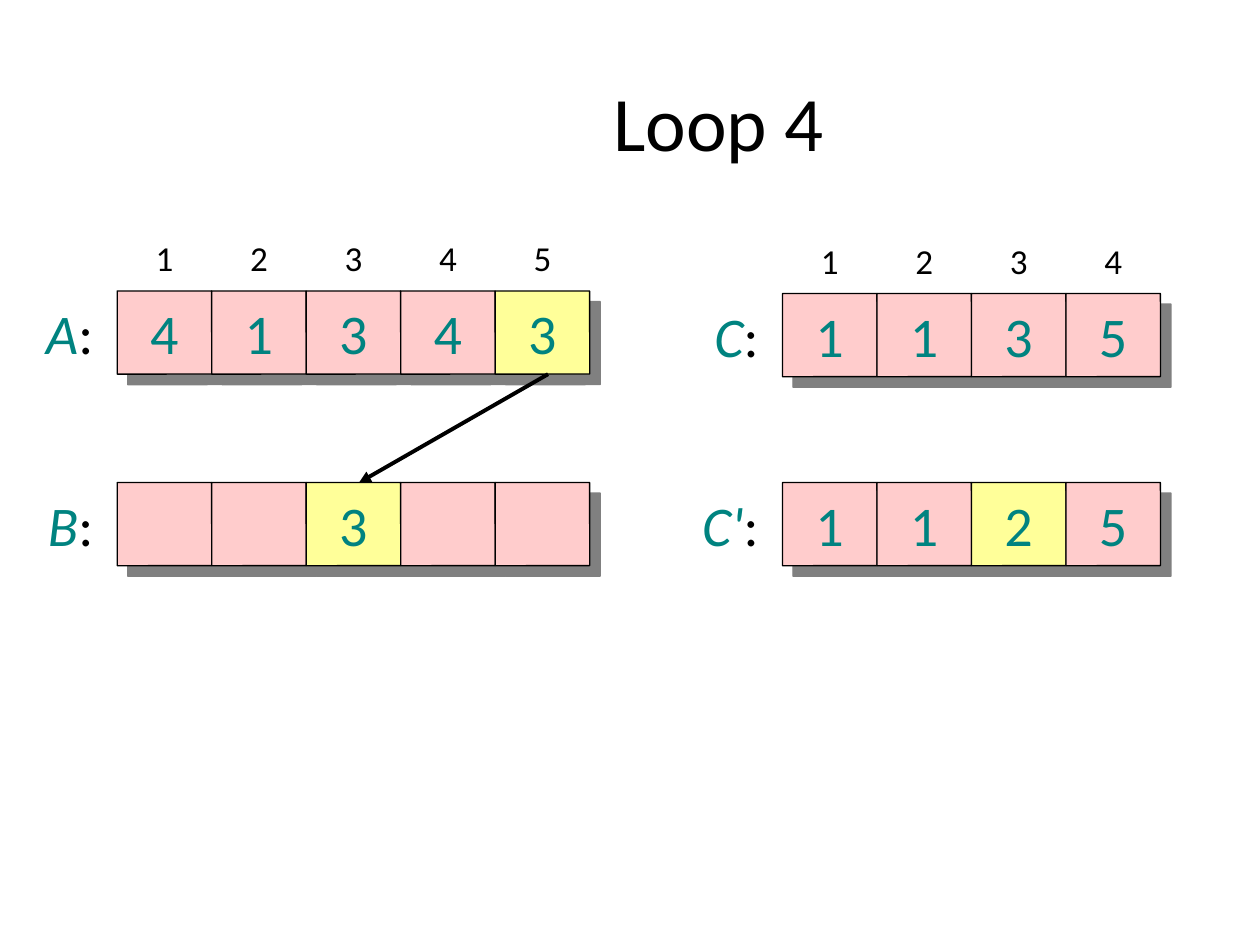
from lxml.etree import SubElement
from pptx import Presentation
from pptx.dml.color import RGBColor
from pptx.enum.shapes import MSO_CONNECTOR, MSO_SHAPE
from pptx.enum.text import MSO_ANCHOR, PP_ALIGN
from pptx.oxml import parse_xml
from pptx.oxml.ns import qn
from pptx.util import Inches, Pt

TEAL, BLACK, PINK, YELLOW, GRAY = "008380", "000000", "FFCCCC", "FFFF99", "808080"
WIDE, HIGH = 0.75, 0.66
NS = "http://schemas.openxmlformats.org/drawingml/2006/main"
SHADOW = (f'<a:effectLst xmlns:a="{NS}"><a:outerShdw dist="{Pt(8.5)}" dir="2700000" '
          f'algn="ctr" rotWithShape="0"><a:srgbClr val="{GRAY}"/></a:outerShdw></a:effectLst>')


def paint(item, color):
    """Give a font, fill or line a solid colour."""
    fill = item if hasattr(item, "solid") else item.fill
    fill.solid()
    fill.fore_color.rgb = RGBColor.from_string(color)


def write(words, box, size=32, color=TEAL, align=PP_ALIGN.CENTER,
          anchor=MSO_ANCHOR.MIDDLE, wrap=False, italic=False, tail=""):
    """Add a text box; tail is an upright black ending."""
    frame = slide.shapes.add_textbox(*map(Inches, box)).text_frame
    frame.word_wrap, frame.vertical_anchor = wrap, anchor
    para = frame.paragraphs[0]
    para.alignment = align
    for part, tint, slant in ((words, color, italic), (tail, BLACK, False)):
        if part:
            run = para.add_run()
            run.text = part
            run.font.name, run.font.size, run.font.italic = "Calibri", Pt(size), slant
            paint(run.font, tint)


deck = Presentation()
deck.slide_width, deck.slide_height = Inches(10), Inches(7.5)
slide = deck.slides.add_slide(deck.slide_layouts[6])

write("Loop 4", (1.58, 0.33, 8.25, 1.25), size=44, color=BLACK, wrap=True)

# name, left, top, values, marked cell, has index row, label width
rows = [
    ("A", 0.93, 2.31, ["4", "1", "3", "4", "3"], 4, True, 0.64),
    ("B", 0.93, 3.83, ["", "", "3", "", ""], 2, False, 0.61),
    ("C", 6.21, 2.33, ["1", "1", "3", "5"], None, True, 0.62),
    ("C'", 6.21, 3.83, ["1", "1", "2", "5"], 2, False, 0.72),
]
for name, left, top, values, mark, index, span in rows:
    write(name, (left - 0.09 - span, top + 0.01, span, 0.64), align=PP_ALIGN.RIGHT,
          anchor=MSO_ANCHOR.TOP, italic=True, tail=":")
    for col, value in enumerate(values):
        box = (left + col * WIDE, top, WIDE, HIGH)
        cell = slide.shapes.add_shape(MSO_SHAPE.ROUNDED_RECTANGLE, *map(Inches, box))
        cell.adjustments[0] = 0.003
        paint(cell, YELLOW if col == mark else PINK)
        paint(cell.line, BLACK)
        cell.line.width = Pt(0.74)
        cell._element.spPr.append(parse_xml(SHADOW))
        if value:
            write(value, box)
        if index:
            write(str(col + 1), (box[0] + (WIDE - 0.34) / 2, top - 0.48, 0.34, 0.44),
                  size=20, color=BLACK, anchor=MSO_ANCHOR.TOP)

arrow = slide.shapes.add_connector(
    MSO_CONNECTOR.STRAIGHT, *map(Inches, (4.35, 2.31 + HIGH, 2.85, 3.83)))
paint(arrow.line, BLACK)
arrow.line.width = Pt(2.24)
SubElement(arrow.line._get_or_add_ln(), qn("a:tailEnd"), type="triangle")
SubElement(arrow._element.spPr, qn("a:effectLst"))

deck.save("out.pptx")
